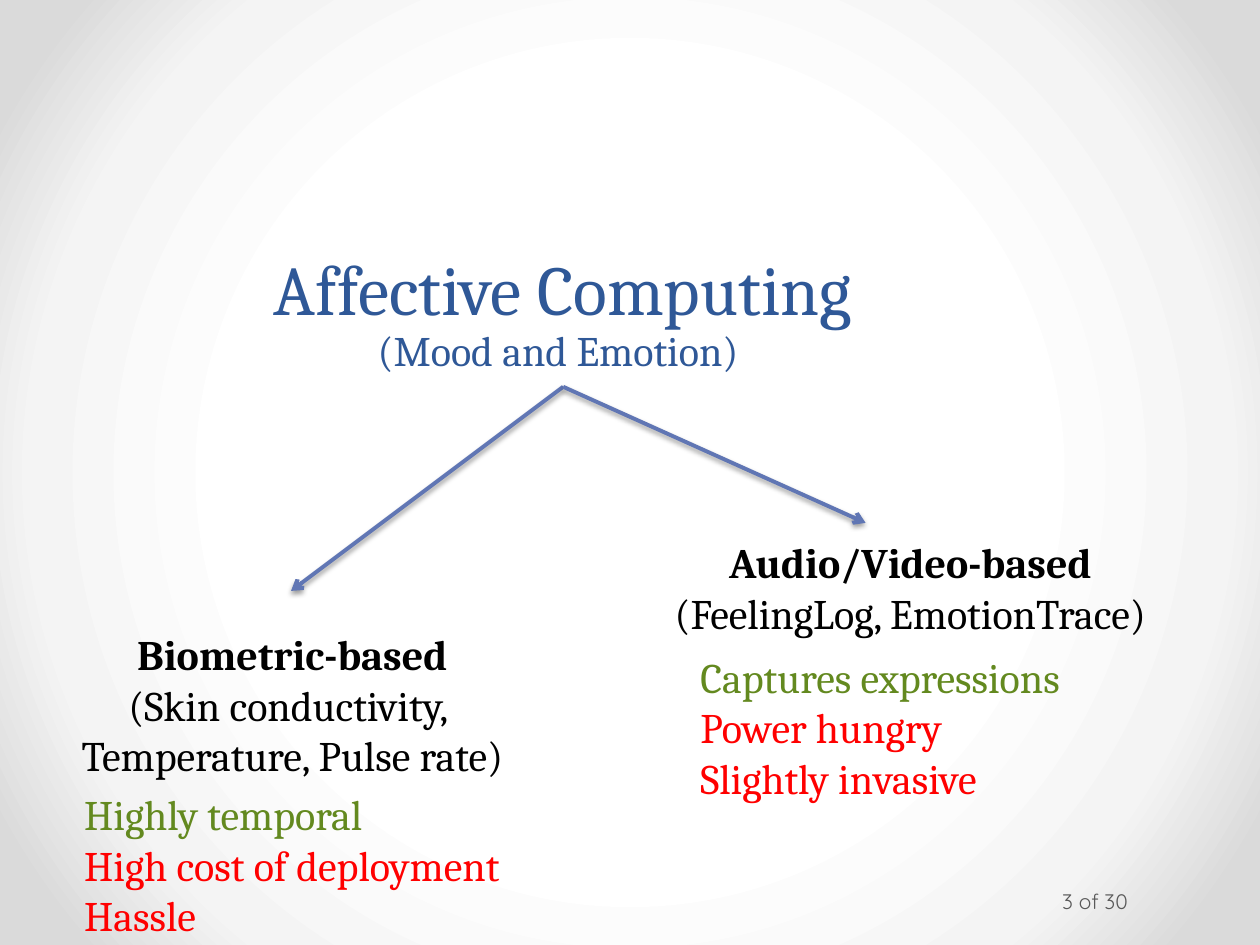
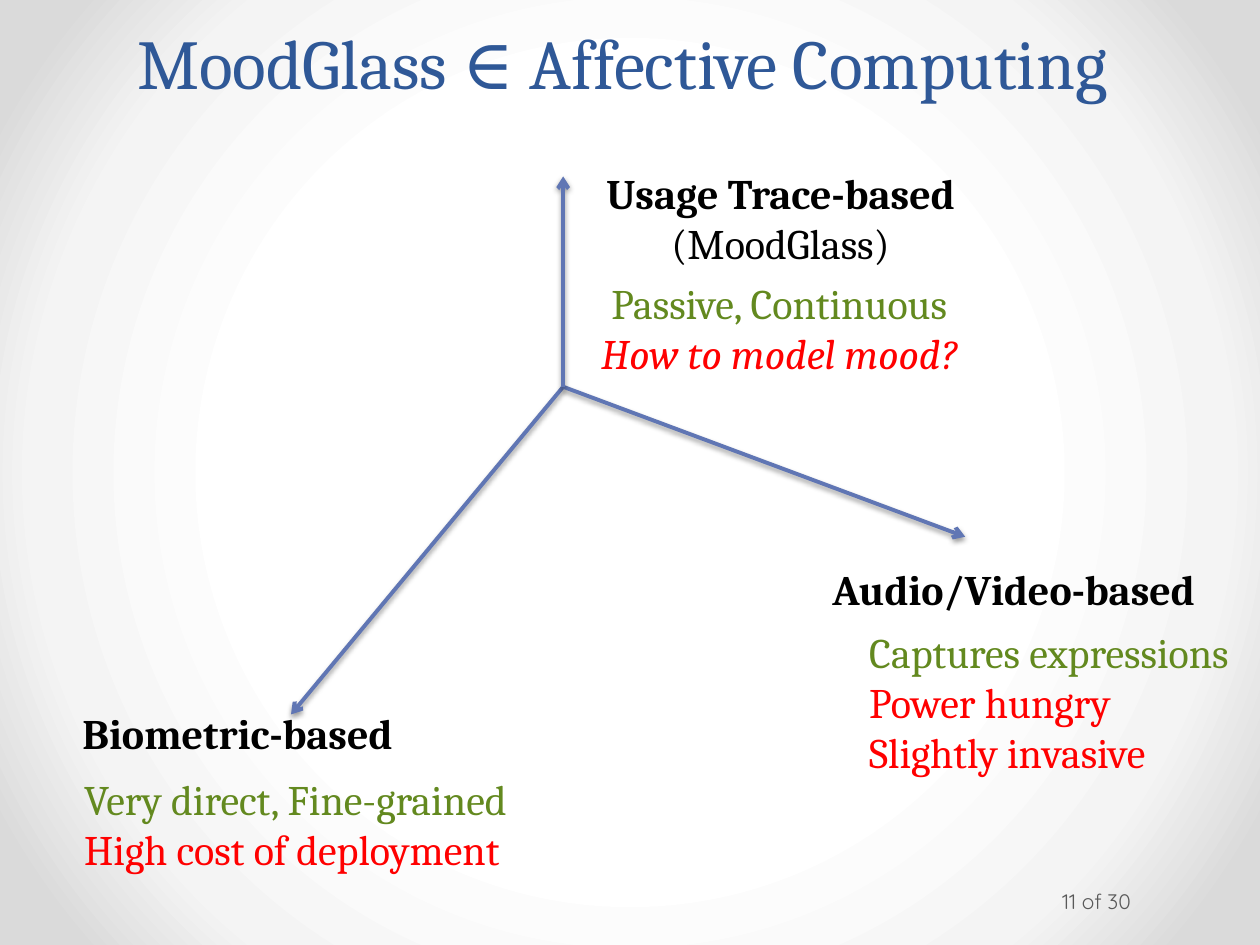
from dataclasses import dataclass

from lxml import etree
from pptx import Presentation
from pptx import util as u
from pptx.dml.color import RGBColor
from pptx.enum import shapes, text
from pptx.oxml import ns, parse_xml


@dataclass(frozen=True)
class Theme:
    serif: str = "Cambria"
    sans: str = "Quicksand"
    title_color: str = "2F5897"
    arrow_color: str = "6076B4"
    footer_color: str = "595959"
    title_size: int = 40
    body_size: int = 24
    footer_size: int = 12
    arrow_width: float = 2.25
    background: tuple = ((50, "FFFFFF"), (76, "F4F4F4"), (92, "DADADA"))


THEME = Theme()

LINE_STYLES = {
    "heading": ("000000", True, False),
    "detail": ("000000", False, False),
    "strength": ("63891F", False, False),
    "weakness": ("FF0000", False, False),
    "question": ("FF0000", False, True),
}
CENTER, LEFT = text.PP_ALIGN.CENTER, text.PP_ALIGN.LEFT

ORIGIN = (4.47, 3.07)
FOOTER_BOX = (8.4, 6.95, 1.22, 0.4)
PAGE_TOTAL = 30

AUDIO_VIDEO_TRAITS = [
    ("strength", "Captures expressions"),
    ("weakness", "Power hungry"),
    ("weakness", "Slightly invasive"),
]

SLIDES = [
    {
        "page": 3,
        "title": [("Affective Computing", THEME.title_size), ("(Mood and Emotion) ", THEME.body_size)],
        "title_box": (1.27, 2.16, 6.39, 0.87),
        "title_spacing": 0.9,
        "arrow_tips": [(2.31, 4.69), (6.87, 4.15)],
        "labels": [
            ((5.04, 4.21, 4.37), CENTER, [
                ("heading", "Audio/Video-based"),
                ("detail", "(FeelingLog, EmotionTrace)"),
            ]),
            ((0.39, 4.94, 3.86), CENTER, [
                ("heading", "Biometric-based"),
                ("detail", "(Skin conductivity, "),
                ("detail", "Temperature, Pulse rate)"),
            ]),
            ((0.57, 6.21, 3.9), LEFT, [
                ("strength", "Highly temporal"),
                ("weakness", "High cost of deployment"),
                ("weakness", "Hassle"),
            ]),
            ((5.46, 5.12, 3.38), LEFT, AUDIO_VIDEO_TRAITS),
        ],
    },
    {
        "page": 11,
        "title": [("MoodGlass ∈ Affective Computing ", THEME.title_size)],
        "title_box": (0.13, 0, 9.74, 0.87),
        "title_spacing": u.Pt(58),
        "arrow_tips": [(2.31, 5.67), (7.66, 4.26), (4.47, 1.4)],
        "labels": [
            ((6.44, 4.42, 3.21), CENTER, [("heading", "Audio/Video-based")]),
            ((4.67, 1.28, 3.05), CENTER, [
                ("heading", "Usage Trace-based"),
                ("detail", "(MoodGlass)"),
            ]),
            ((0.53, 5.57, 2.71), CENTER, [("heading", "Biometric-based")]),
            ((0.57, 6.09, 3.97), LEFT, [
                ("strength", "Very direct, Fine-grained"),
                ("weakness", "High cost of deployment"),
            ]),
            ((6.8, 4.92, 3.38), LEFT, AUDIO_VIDEO_TRAITS),
            ((4.58, 2.15, 3.21), CENTER, [
                ("strength", "Passive, Continuous"),
                ("question", "How to model mood?"),
            ]),
        ],
    },
]


def set_font(font, name, size, color):
    font.name = name
    font.size = u.Pt(size)
    font.color.rgb = RGBColor.from_string(color)


def add_text_frame(slide, box, anchor, wrap=True):
    frame = slide.shapes.add_textbox(*map(u.Inches, box)).text_frame
    frame.word_wrap = wrap
    frame.vertical_anchor = anchor
    return frame


def set_background(master):
    master.background.fill.solid()
    stops = "".join(
        f'<a:gs pos="{position * 1000}"><a:srgbClr val="{color}"/></a:gs>'
        for position, color in THEME.background
    )
    gradient = parse_xml(
        f'<a:gradFill {ns.nsdecls("a")} rotWithShape="1"><a:gsLst>{stops}</a:gsLst>'
        '<a:path path="circle"><a:fillToRect l="50000" t="50000" r="50000" b="50000"/></a:path>'
        "</a:gradFill>"
    )
    solid = master.element.find(".//" + ns.qn("p:bgPr") + "/" + ns.qn("a:solidFill"))
    solid.getparent().replace(solid, gradient)


def add_title(slide, lines, box, spacing):
    frame = add_text_frame(slide, box, text.MSO_ANCHOR.BOTTOM)
    paragraph = frame.paragraphs[0]
    paragraph.alignment = CENTER
    paragraph.line_spacing = spacing
    for index, (words, size) in enumerate(lines):
        if index:
            paragraph.add_line_break()
        run = paragraph.add_run()
        run.text = words
        set_font(run.font, THEME.serif, size, THEME.title_color)


def add_label(slide, place, alignment, lines):
    height = 0.1 + 0.4 * len(lines)
    frame = add_text_frame(slide, (*place, height), text.MSO_ANCHOR.TOP, wrap=False)
    frame.auto_size = text.MSO_AUTO_SIZE.SHAPE_TO_FIT_TEXT
    for index, (style, words) in enumerate(lines):
        paragraph = frame.add_paragraph() if index else frame.paragraphs[0]
        paragraph.text = words
        paragraph.alignment = alignment
        color, bold, italic = LINE_STYLES[style]
        set_font(paragraph.font, THEME.serif, THEME.body_size, color)
        paragraph.font.bold = bold
        paragraph.font.italic = italic


def add_arrow(slide, tip):
    arrow = slide.shapes.add_connector(
        shapes.MSO_CONNECTOR.STRAIGHT, *map(u.Inches, ORIGIN + tip)
    )
    arrow.line.color.rgb = RGBColor.from_string(THEME.arrow_color)
    arrow.line.width = u.Pt(THEME.arrow_width)
    etree.SubElement(arrow.line._get_or_add_ln(), ns.qn("a:tailEnd"), type="arrow")
    arrow.element.spPr.append(parse_xml(
        f'<a:effectLst {ns.nsdecls("a")}>'
        f'<a:outerShdw blurRad="{u.Pt(3.1)}" dist="{u.Pt(1.6)}" dir="5400000" rotWithShape="0">'
        '<a:srgbClr val="000000"><a:alpha val="38000"/></a:srgbClr>'
        "</a:outerShdw></a:effectLst>"
    ))


def add_footer(slide, page):
    frame = add_text_frame(slide, FOOTER_BOX, text.MSO_ANCHOR.MIDDLE)
    frame.margin_left = u.Inches(0.03)
    frame.margin_right = u.Inches(0.05)
    paragraph = frame.paragraphs[0]
    paragraph.text = f"{page} of {PAGE_TOTAL}"
    set_font(paragraph.font, THEME.sans, THEME.footer_size, THEME.footer_color)


def main():
    presentation = Presentation()
    presentation.slide_width = u.Inches(10)
    presentation.slide_height = u.Inches(7.5)
    set_background(presentation.slide_master)
    for content in SLIDES:
        slide = presentation.slides.add_slide(presentation.slide_layouts[6])
        add_title(slide, content["title"], content["title_box"], content["title_spacing"])
        for tip in content["arrow_tips"]:
            add_arrow(slide, tip)
        for label in content["labels"]:
            add_label(slide, *label)
        add_footer(slide, content["page"])
    presentation.save("out.pptx")


if __name__ == "__main__":
    main()
